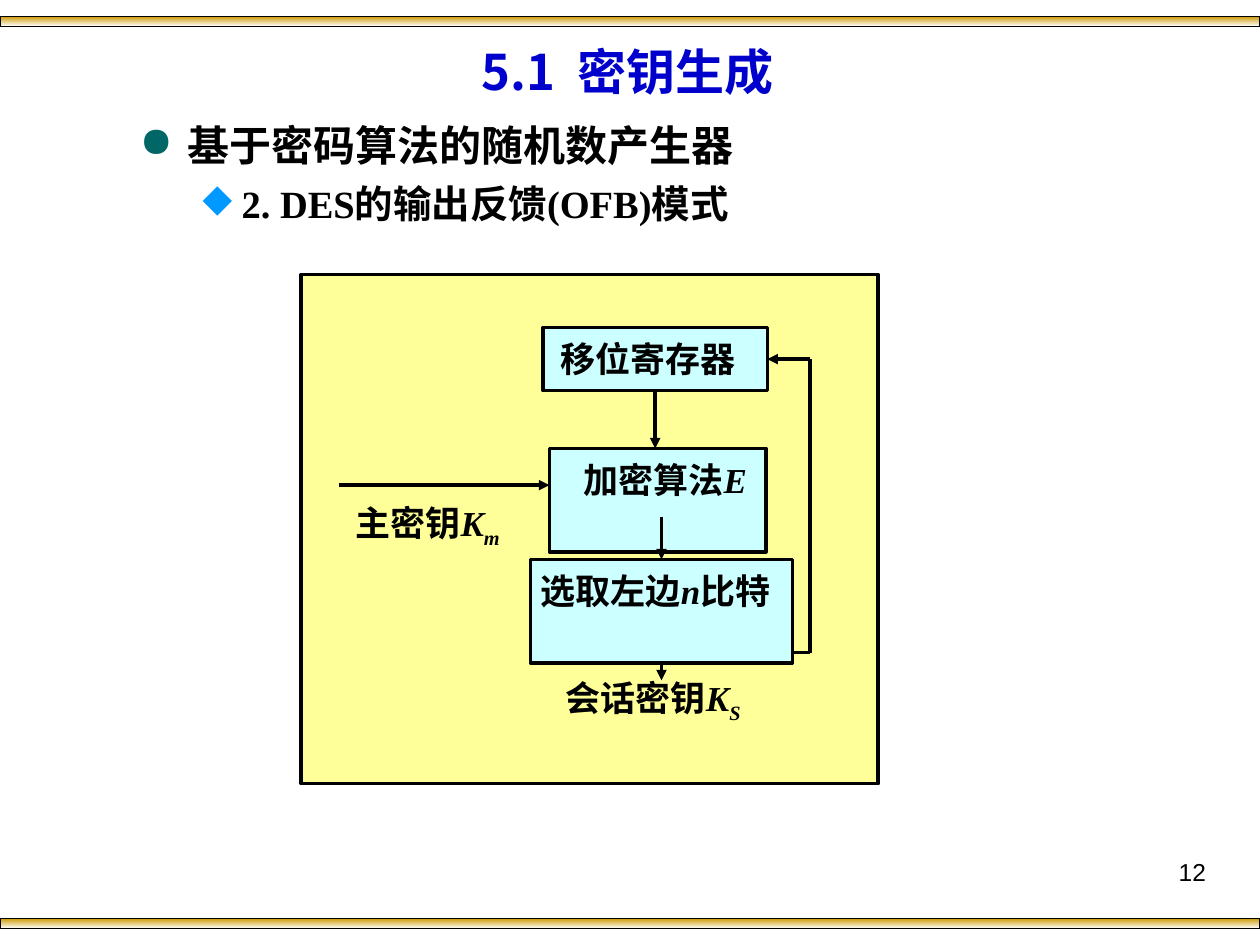
from dataclasses import dataclass

from lxml.etree import SubElement
from pptx import Presentation
from pptx.dml.color import RGBColor
from pptx.enum.shapes import MSO_CONNECTOR, MSO_SHAPE
from pptx.enum.text import MSO_ANCHOR, PP_ALIGN
from pptx.oxml.ns import qn
from pptx.util import Inches, Pt

CJK_FONT = "Noto Sans CJK SC"
LATIN_FONT = "Times New Roman"
BLACK = "000000"
BOX_BLUE = "CCFFFF"


@dataclass
class Span:
    text: str
    italic: bool = False
    subscript: bool = False
    spacing: float = 0


@dataclass
class Area:
    left: float
    top: float
    width: float
    height: float

    @property
    def center_x(self) -> float:
        return self.left + self.width / 2

    @property
    def middle_y(self) -> float:
        return self.top + self.height / 2

    @property
    def right(self) -> float:
        return self.left + self.width

    @property
    def bottom(self) -> float:
        return self.top + self.height

    def lengths(self) -> list:
        return [Inches(v) for v in (self.left, self.top, self.width, self.height)]


@dataclass
class Outline:
    text: str
    size: float
    level: int
    margin: float
    hanging: float
    before: float
    bullet: str
    bullet_color: str


def rgb(value: str) -> RGBColor:
    return RGBColor.from_string(value)


def set_insets(frame, horizontal: float, vertical: float) -> None:
    frame.word_wrap = True
    frame.margin_left = frame.margin_right = Inches(horizontal)
    frame.margin_top = frame.margin_bottom = Inches(vertical)


def set_indent(paragraph, margin: float, first_line: float) -> None:
    properties = paragraph._p.get_or_add_pPr()
    properties.set("marL", str(Inches(margin)))
    properties.set("indent", str(Inches(first_line)))


def write(paragraph, spans: list[Span], size: float, font: str = LATIN_FONT,
          color: str = BLACK, bold: bool = True) -> None:
    for span in spans:
        run = paragraph.add_run()
        run.text = span.text
        run.font.size = Pt(size)
        run.font.bold = bold
        run.font.italic = span.italic
        run.font.name = font
        run.font.color.rgb = rgb(color)
        properties = run._r.get_or_add_rPr()
        SubElement(properties, qn("a:ea")).set("typeface", CJK_FONT)
        if span.subscript:
            properties.set("baseline", "-25000")
        if span.spacing:
            properties.set("spc", str(int(span.spacing * 100)))


def add_text_area(slide, area: Area):
    frame = slide.shapes.add_textbox(*area.lengths()).text_frame
    set_insets(frame, 0.1, 0.05)
    return frame


def add_box(slide, area: Area, fill: str | None, width: float = 2):
    box = slide.shapes.add_shape(MSO_SHAPE.RECTANGLE, *area.lengths())
    box.shadow.inherit = False
    if fill:
        box.fill.solid()
        box.fill.fore_color.rgb = rgb(fill)
    box.line.color.rgb = rgb(BLACK)
    box.line.width = Pt(width)
    return box


def add_gold_bar(slide, top: float) -> None:
    bar = add_box(slide, Area(0, top, 10, 0.08), None, 0.75)
    bar.fill.gradient()
    bar.fill.gradient_angle = 270
    for stop, color, position in zip(bar.fill.gradient_stops, ("CC9900", "FFFFFF"), (0, 1)):
        stop.color.rgb = rgb(color)
        stop.position = position


def label(frame, spans: list[Span], first_line: float = 0) -> None:
    """Write a diagram label; wrapped lines start at 0.5 inches."""
    set_insets(frame, 0.08, 0.08)
    frame.vertical_anchor = MSO_ANCHOR.TOP
    paragraph = frame.paragraphs[0]
    paragraph.alignment = PP_ALIGN.JUSTIFY
    set_indent(paragraph, 0.5, first_line - 0.5)
    write(paragraph, spans, 20)


def add_line(slide, x1: float, y1: float, x2: float, y2: float, arrow: bool = True):
    line = slide.shapes.add_connector(
        MSO_CONNECTOR.STRAIGHT, Inches(x1), Inches(y1), Inches(x2), Inches(y2))
    line.line.color.rgb = rgb(BLACK)
    line.line.width = Pt(2)
    if arrow:
        SubElement(line.line._get_or_add_ln(), qn("a:tailEnd")).set("type", "triangle")
    SubElement(line._element.spPr, qn("a:effectLst"))
    return line


def add_outline(slide, area: Area, items: list[Outline]) -> None:
    frame = add_text_area(slide, area)
    for index, item in enumerate(items):
        paragraph = frame.add_paragraph() if index else frame.paragraphs[0]
        paragraph.level = item.level
        paragraph.space_before = Pt(item.before)
        set_indent(paragraph, item.margin, -item.hanging)
        properties = paragraph._p.get_or_add_pPr()
        bullet_color = SubElement(properties, qn("a:buClr"))
        SubElement(bullet_color, qn("a:srgbClr")).set("val", item.bullet_color)
        SubElement(properties, qn("a:buChar")).set("char", item.bullet)
        write(paragraph, [Span(item.text)], item.size)


def add_diagram(slide) -> None:
    register_area = Area(4.31, 2.6, 1.78, 0.5)
    cipher_area = Area(4.36, 3.56, 1.72, 0.82)
    selection_area = Area(4.21, 4.44, 2.08, 0.82)
    output_x = selection_area.center_x
    feedback_x, feedback_y = 6.43, 5.18

    add_box(slide, Area(2.39, 2.18, 4.58, 4.04), "FFFF99")

    # Master key and cipher
    add_line(slide, 2.69, 3.85, cipher_area.left, 3.85)
    master_key = slide.shapes.add_textbox(*Area(2.74, 3.9, 1.48, 0.54).lengths())
    label(master_key.text_frame, [Span("主密钥"), Span("K", True), Span("m", True, True)])
    cipher = add_box(slide, cipher_area, BOX_BLUE)
    label(cipher.text_frame, [Span("加密算法"), Span("E", True)], 0.19)

    # Shift register
    register_output = add_line(slide, register_area.center_x, register_area.bottom,
                               register_area.center_x, cipher_area.top)
    register = add_box(slide, register_area, BOX_BLUE)
    label(register.text_frame, [Span("移位寄存器")], 0.06)
    register_output.begin_connect(register, 2)

    # Feedback path
    add_line(slide, output_x, feedback_y, feedback_x, feedback_y, arrow=False)
    add_line(slide, feedback_x, feedback_y, feedback_x, register_area.middle_y, arrow=False)
    feedback = add_line(slide, feedback_x, register_area.middle_y,
                        register_area.right, register_area.middle_y)
    feedback.end_connect(register, 3)

    # Bit selection and session key
    session_key = slide.shapes.add_textbox(*Area(4.41, 5.29, 1.72, 0.54).lengths())
    label(session_key.text_frame, [Span("会话密钥"), Span("K", True), Span("S", True, True)])
    add_line(slide, output_x, 4.96, output_x, 5.4)
    selection = add_box(slide, selection_area, BOX_BLUE)
    label(selection.text_frame, [Span("选取左边"), Span("n", True), Span("比特")])
    cipher_output = add_line(slide, output_x, 4.1, output_x, selection_area.top)
    cipher_output.end_connect(selection, 0)


def main() -> None:
    presentation = Presentation()
    presentation.slide_width = Inches(10)
    presentation.slide_height = Inches(7.5)
    slide = presentation.slides.add_slide(presentation.slide_layouts[6])

    # Frame bars and page number
    for top in (0.13, 7.29):
        add_gold_bar(slide, top)
    page_number = add_text_area(slide, Area(7.17, 6.75, 2.5, 0.52)).paragraphs[0]
    page_number.alignment = PP_ALIGN.RIGHT
    write(page_number, [Span("12")], 14, "Arial", bold=False)

    # Title
    title = add_text_area(slide, Area(0.31, 0.25, 9.34, 0.62))
    title.vertical_anchor = MSO_ANCHOR.MIDDLE
    title.paragraphs[0].alignment = PP_ALIGN.CENTER
    write(title.paragraphs[0], [Span("5.1"), Span(" ", spacing=6), Span("密钥生成")],
          28, CJK_FONT, "0000CC")

    # Outline
    add_outline(slide, Area(1.01, 0.9, 8.22, 0.95), [
        Outline("基于密码算法的随机数产生器", 24, 0, 0.38, 0.38, 6, "●", "006666"),
        Outline("2. DES的输出反馈(OFB)模式", 22, 1, 0.81, 0.31, 5.5, "◆", "0099FF"),
    ])

    add_diagram(slide)
    presentation.save("out.pptx")


if __name__ == "__main__":
    main()
